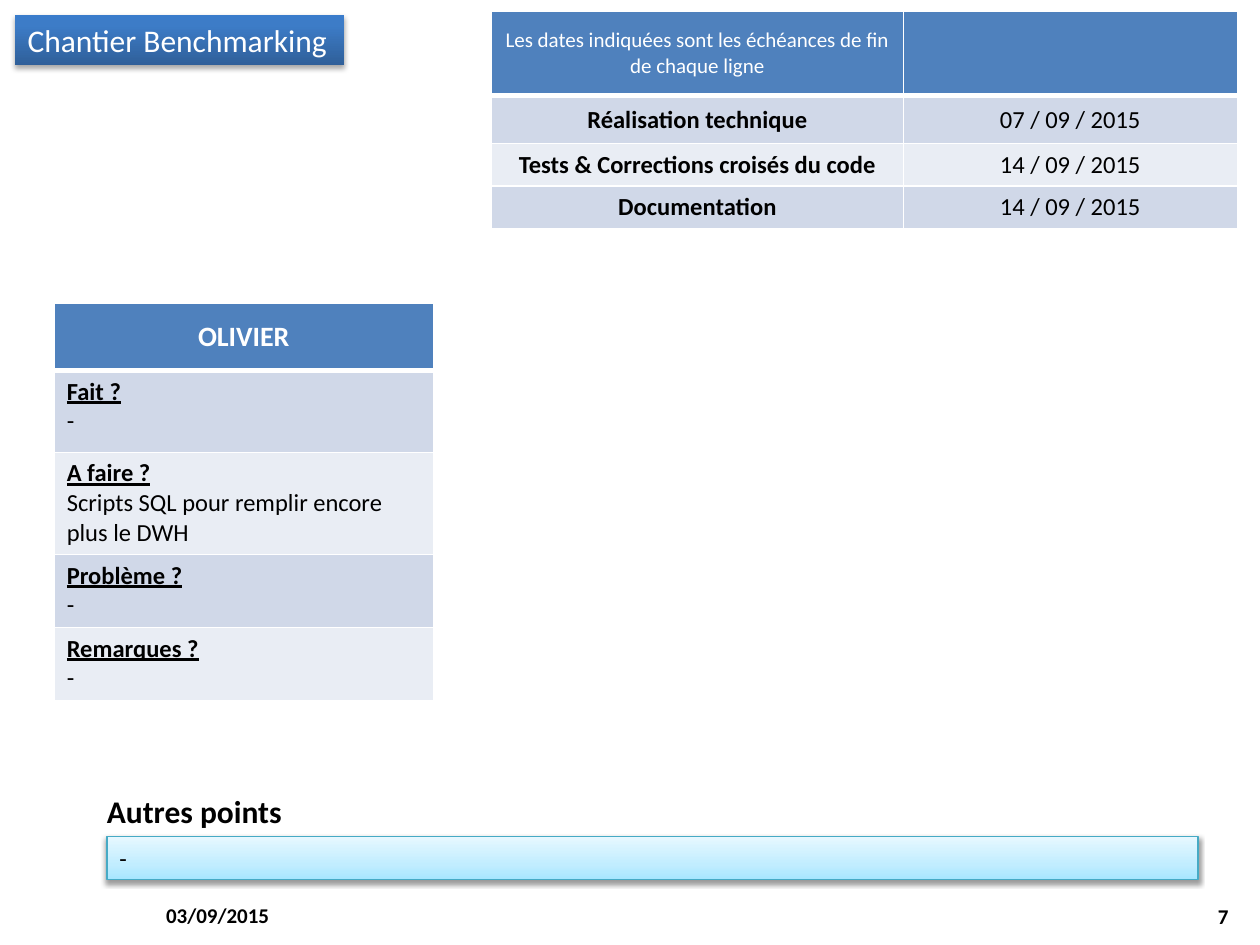
from dataclasses import dataclass

from lxml.etree import SubElement
from pptx import Presentation
from pptx.dml.color import RGBColor
from pptx.enum.shapes import MSO_SHAPE
from pptx.enum.text import MSO_ANCHOR, MSO_AUTO_SIZE, PP_ALIGN
from pptx.oxml import parse_xml
from pptx.oxml.ns import nsdecls, qn
from pptx.util import Inches, Pt

FONT = "Calibri"
BLACK = RGBColor(0x00, 0x00, 0x00)
WHITE = RGBColor(0xFF, 0xFF, 0xFF)
HEADER_BLUE = RGBColor(0x4F, 0x81, 0xBD)
BANDS = (RGBColor(0xD0, 0xD8, 0xE8), RGBColor(0xE9, 0xED, 0xF4))
AQUA_LINE = RGBColor(0x46, 0xAA, 0xC5)
BLUE_STOPS = (
    (0, RGBColor(0x2F, 0x5F, 0x99)),
    (80, RGBColor(0x3D, 0x7C, 0xC7)),
    (100, RGBColor(0x3A, 0x7C, 0xCB)),
)
AQUA_STOPS = (
    (0, RGBColor(0xA7, 0xE6, 0xFF)),
    (35, RGBColor(0xC1, 0xED, 0xFF)),
    (100, RGBColor(0xE7, 0xF8, 0xFF)),
)


@dataclass
class Style:
    size: int
    color: RGBColor = BLACK
    bold: bool = False
    underline: bool = False
    align: PP_ALIGN = PP_ALIGN.LEFT


@dataclass
class Label:
    text: str
    at: tuple[float, float, float, float]
    style: Style
    anchor: MSO_ANCHOR = MSO_ANCHOR.TOP
    wrap: bool = True
    spacing: int = 0


@dataclass
class Panel:
    label: Label
    stops: tuple
    line: RGBColor | None
    shadow_opacity: int
    shadow_distance: float


@dataclass
class Grid:
    at: tuple[float, float]
    columns: list[float]
    rows: list[float]
    cells: list[list[list[tuple[str, Style]]]]
    anchors: tuple[MSO_ANCHOR, MSO_ANCHOR]


def write(frame, lines: list[tuple[str, Style]]) -> None:
    for index, (text, style) in enumerate(lines):
        para = frame.paragraphs[0] if index == 0 else frame.add_paragraph()
        para.text = text
        para.alignment = style.align
        para.font.name = FONT
        para.font.size = Pt(style.size)
        para.font.color.rgb = style.color
        para.font.bold = style.bold
        para.font.underline = style.underline


def fill_label(shape, label: Label) -> None:
    frame = shape.text_frame
    frame.word_wrap = label.wrap
    frame.auto_size = MSO_AUTO_SIZE.NONE
    frame.vertical_anchor = label.anchor
    write(frame, [(label.text, label.style)])
    frame.paragraphs[0].space_before = Pt(label.spacing)
    frame.paragraphs[0].space_after = Pt(label.spacing)


def add_label(page, label: Label) -> None:
    fill_label(page.shapes.add_textbox(*map(Inches, label.at)), label)


def add_panel(page, panel: Panel) -> None:
    shape = page.shapes.add_shape(MSO_SHAPE.RECTANGLE, *map(Inches, panel.label.at))
    fill_label(shape, panel.label)
    if panel.line is None:
        shape.line.fill.background()
    else:
        shape.line.color.rgb = panel.line
        shape.line.width = Pt(0.75)

    # Gradient rising from the bottom edge
    stops = "".join(
        f'<a:gs pos="{position * 1000}"><a:srgbClr val="{color}"/></a:gs>'
        for position, color in panel.stops
    )
    properties = shape.element.spPr
    properties.find(qn("a:prstGeom")).addnext(parse_xml(
        f'<a:gradFill {nsdecls("a")} rotWithShape="1"><a:gsLst>{stops}</a:gsLst>'
        '<a:lin ang="16200000" scaled="0"/></a:gradFill>'
    ))

    # Soft shadow below
    shape.shadow.inherit = False
    effects = properties.find(qn("a:effectLst"))
    effects.append(parse_xml(
        f'<a:outerShdw {nsdecls("a")} blurRad="{Pt(3.1)}" '
        f'dist="{Pt(panel.shadow_distance)}" dir="5400000" rotWithShape="0">'
        f'<a:srgbClr val="{BLACK}"><a:alpha val="{panel.shadow_opacity * 1000}"/>'
        '</a:srgbClr></a:outerShdw>'
    ))


def set_borders(cell, top: int, bottom: int) -> None:
    properties = cell._tc.get_or_add_tcPr()
    for side, width in (("L", 1), ("R", 1), ("T", top), ("B", bottom)):
        line = SubElement(properties, qn(f"a:ln{side}"), w=str(Pt(width)))
        fill = SubElement(line, qn("a:solidFill"))
        SubElement(fill, qn("a:srgbClr"), val=str(WHITE))


def add_grid(page, grid: Grid) -> None:
    left, top = grid.at
    frame = page.shapes.add_table(
        len(grid.rows), len(grid.columns), Inches(left), Inches(top),
        Inches(sum(grid.columns)), Inches(sum(grid.rows)),
    )
    table = frame.table
    for column, width in zip(table.columns, grid.columns):
        column.width = Inches(width)
    for row_index, (height, texts) in enumerate(zip(grid.rows, grid.cells)):
        table.rows[row_index].height = Inches(height)
        header = row_index == 0
        for column_index, lines in enumerate(texts):
            cell = table.cell(row_index, column_index)
            cell.vertical_anchor = grid.anchors[0 if header else 1]
            set_borders(cell, 3 if row_index == 1 else 1, 3 if header else 1)
            cell.fill.solid()
            cell.fill.fore_color.rgb = HEADER_BLUE if header else BANDS[(row_index - 1) % 2]
            write(cell.text_frame, lines)


deck = Presentation()
deck.slide_width, deck.slide_height = Inches(10), Inches(7.5)
page = deck.slides.add_slide(deck.slide_layouts[6])

# Date and page number
footer = Style(12, bold=True)
footer_right = Style(12, bold=True, align=PP_ALIGN.RIGHT)
add_label(page, Label("03/09/2015", (1.22, 7.06, 2.33, 0.4), footer, MSO_ANCHOR.MIDDLE))
add_label(page, Label("7", (7.52, 7.07, 2.33, 0.4), footer_right, MSO_ANCHOR.MIDDLE))

# Title
title = Label("Chantier Benchmarking", (0.12, 0.12, 2.61, 0.4), Style(18, WHITE), wrap=False)
add_panel(page, Panel(title, BLUE_STOPS, None, 35, 1.8))

# Progress of the team member
question, answer = Style(14, bold=True, underline=True), Style(14)
progress = [
    ("Fait ?", "-"),
    ("A faire ?", "Scripts SQL pour remplir encore plus le DWH"),
    ("Problème ?", "-"),
    ("Remarques ?", "-"),
]
member = Style(16, WHITE, bold=True, align=PP_ALIGN.CENTER)
add_grid(page, Grid(
    (0.43, 2.41), [3.01], [0.53, 0.65, 0.8, 0.58, 0.58],
    [[[("OLIVIER", member)]]]
    + [[[(asked, question), (said, answer)]] for asked, said in progress],
    (MSO_ANCHOR.MIDDLE, MSO_ANCHOR.TOP),
))

# Other points
add_panel(page, Panel(
    Label("-", (0.85, 6.64, 8.66, 0.34), Style(14)), AQUA_STOPS, AQUA_LINE, 38, 1.6,
))
add_label(page, Label(
    "Autres points", (0.75, 6.24, 1.6, 0.4), Style(18, bold=True), wrap=False, spacing=3,
))

# Deadlines
heading = Style(12, WHITE, align=PP_ALIGN.CENTER)
task_style = Style(14, bold=True, align=PP_ALIGN.CENTER)
date_style = Style(14, align=PP_ALIGN.CENTER)
deadlines = [
    ("Réalisation technique", "07 / 09 / 2015"),
    ("Tests & Corrections croisés du code", "14 / 09 / 2015"),
    ("Documentation", "14 / 09 / 2015"),
]
add_grid(page, Grid(
    (3.9, 0.09), [3.27, 2.65], [0.67, 0.38, 0.33, 0.33],
    [[[("Les dates indiquées sont les échéances de fin de chaque ligne", heading)], []]]
    + [[[(task, task_style)], [(date, date_style)]] for task, date in deadlines],
    (MSO_ANCHOR.MIDDLE, MSO_ANCHOR.MIDDLE),
))

deck.save("out.pptx")
